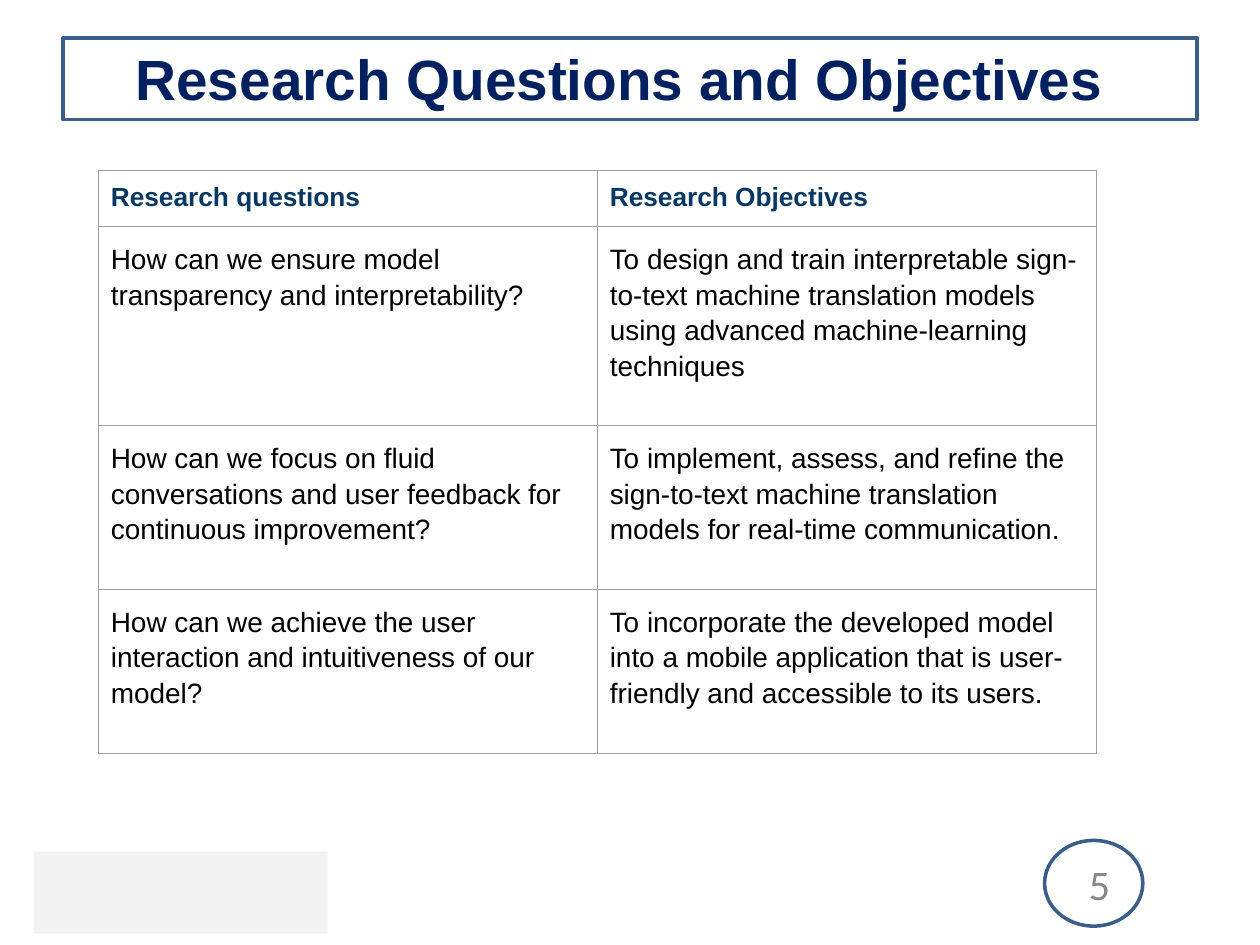
from pptx import Presentation
from pptx.dml.color import RGBColor
from pptx.enum.shapes import MSO_SHAPE
from pptx.enum.text import MSO_ANCHOR, PP_ALIGN
from pptx.oxml.ns import qn
from pptx.util import Inches, Pt
from lxml import etree

RECTANGLE, OVAL = MSO_SHAPE.RECTANGLE, MSO_SHAPE.OVAL
MIDDLE = MSO_ANCHOR.MIDDLE
CENTER, RIGHT = PP_ALIGN.CENTER, PP_ALIGN.RIGHT

NAVY = RGBColor(0x00, 0x20, 0x60)
HEADER_BLUE = RGBColor(0x07, 0x37, 0x63)
FRAME_BLUE = RGBColor(0x39, 0x5E, 0x89)
BLACK = RGBColor(0x00, 0x00, 0x00)
NUMBER_GRAY = RGBColor(0x88, 0x88, 0x88)
BORDER_GRAY = RGBColor(0x9E, 0x9E, 0x9E)
PALE_GRAY = RGBColor(0xF2, 0xF2, 0xF2)

HEADINGS = ("Research questions", "Research Objectives")
PAIRS = [
    ("How can we ensure model transparency and interpretability?",
     "To design and train interpretable sign-to-text machine translation models "
     "using advanced machine-learning techniques"),
    ("How can we focus on fluid conversations and user feedback for continuous improvement?",
     "To implement, assess, and refine the sign-to-text machine translation models "
     "for real-time communication."),
    ("How can we achieve the user interaction and intuitiveness of our model?",
     "To incorporate the developed model into a mobile application that is "
     "user-friendly and accessible to its users."),
]
ROW_HEIGHTS = (0.43, 1.58, 1.3, 1.3)


class SlideBuilder:
    """Holds the style and the current slide, and adds elements to it."""

    def __init__(self, slide, font="Arial", border_width=0.75):
        self.slide = slide
        self.font = font
        self.border_width = border_width

    def add_run(self, paragraph, text, size, color, bold=False, font=None):
        run = paragraph.add_run()
        run.text = text
        run.font.name = font or self.font
        run.font.size = Pt(size)
        run.font.bold = bold
        run.font.color.rgb = color

    def add_shape(self, kind, left, top, width, height, fill=None, line=None):
        shape = self.slide.shapes.add_shape(
            kind, Inches(left), Inches(top), Inches(width), Inches(height))
        shape.shadow.inherit = False
        if fill is None:
            shape.fill.background()
        else:
            shape.fill.solid()
            shape.fill.fore_color.rgb = fill
        if line is None:
            shape.line.fill.background()
        else:
            shape.line.color.rgb = line
            shape.line.width = Pt(2)

    def add_text(self, text, left, top, width, height, alignment, size, color, **style):
        box = self.slide.shapes.add_textbox(
            Inches(left), Inches(top), Inches(width), Inches(height))
        frame = box.text_frame
        frame.word_wrap = True
        frame.vertical_anchor = MIDDLE
        paragraph = frame.paragraphs[0]
        paragraph.alignment = alignment
        self.add_run(paragraph, text, size, color, **style)

    def add_borders(self, cell):
        properties = cell._tc.get_or_add_tcPr()
        for position, side in enumerate(("a:lnL", "a:lnR", "a:lnT", "a:lnB")):
            line = etree.Element(qn(side), w=str(Pt(self.border_width)))
            fill = etree.SubElement(line, qn("a:solidFill"))
            etree.SubElement(fill, qn("a:srgbClr"), val=str(BORDER_GRAY))
            properties.insert(position, line)

    def add_table(self, rows, left, top, column_width, row_heights):
        columns = len(rows[0])
        table = self.slide.shapes.add_table(
            len(rows), columns, Inches(left), Inches(top),
            Inches(column_width * columns), Inches(sum(row_heights))).table
        table.horz_banding = False
        for column in table.columns:
            column.width = Inches(column_width)
        for row_index, (row, texts) in enumerate(zip(table.rows, rows)):
            row.height = Inches(row_heights[row_index])
            for cell, text in zip(row.cells, texts):
                cell.fill.background()
                cell.margin_left = cell.margin_right = Inches(0.1)
                cell.margin_top = cell.margin_bottom = Inches(0.1)
                self.add_borders(cell)
                paragraph = cell.text_frame.paragraphs[0]
                if row_index == 0:
                    self.add_run(paragraph, text, 15, HEADER_BLUE, bold=True)
                else:
                    paragraph.line_spacing = 1.15
                    self.add_run(paragraph, text, 16, BLACK)


def main():
    presentation = Presentation()
    presentation.slide_width = Inches(10)
    presentation.slide_height = Inches(7.5)
    slide = presentation.slides.add_slide(presentation.slide_layouts[6])
    builder = SlideBuilder(slide)

    builder.add_shape(RECTANGLE, 0.27, 6.76, 2.33, 0.65, fill=PALE_GRAY)
    builder.add_text("5", 6.58, 6.77, 2.33, 0.48, RIGHT, 24, NUMBER_GRAY, font="Calibri")
    builder.add_shape(RECTANGLE, 0.5, 0.3, 9, 0.65, line=FRAME_BLUE)
    builder.add_shape(OVAL, 8.29, 6.67, 0.78, 0.68, line=FRAME_BLUE)
    builder.add_text("Research Questions and Objectives", 0.5, 0.42, 8.83, 0.4,
                     CENTER, 32.4, NAVY, bold=True)
    builder.add_table([HEADINGS, *PAIRS], 0.78, 1.35, 3.96, ROW_HEIGHTS)

    presentation.save("out.pptx")


if __name__ == "__main__":
    main()
